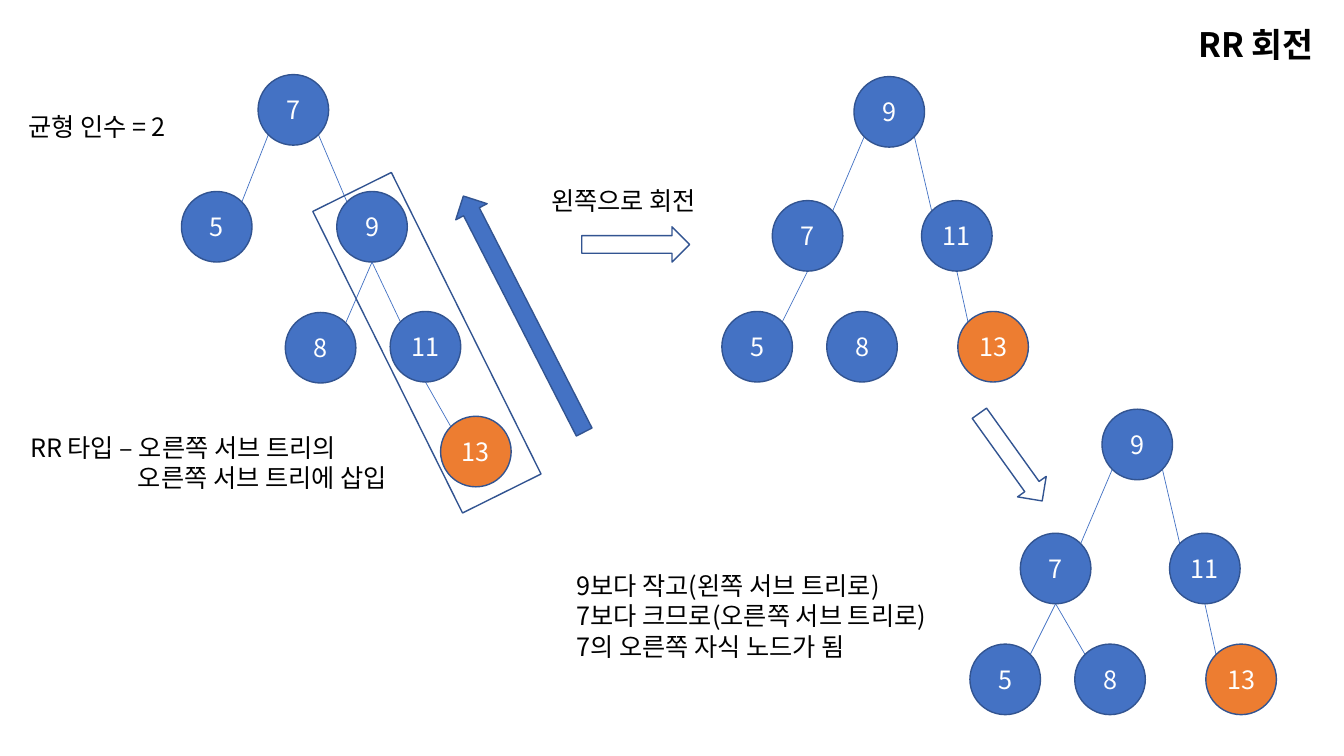
import pptx
import pptx.util
import pptx.dml.color
import pptx.enum.shapes
import pptx.enum.text
import pptx.oxml.ns
from lxml import etree

RGBColor = pptx.dml.color.RGBColor
BLUE = RGBColor(0x44, 0x72, 0xC4)
OUTLINE = RGBColor(0x32, 0x54, 0x91)
ORANGE = RGBColor(0xED, 0x7D, 0x31)
BLACK = RGBColor(0, 0, 0)
WHITE = RGBColor(0xFF, 0xFF, 0xFF)

SHAPES = pptx.enum.shapes.MSO_SHAPE
ALIGN = pptx.enum.text.PP_ALIGN
ANCHOR = pptx.enum.text.MSO_ANCHOR
FONT = "Noto Sans CJK KR"
EMU_PER_PX = 9144
NODE = 70
CORNER = 10
INSERTED = "13"

TITLE = ("RR 회전", (938, 19, 375, 50))
LABELS = [
    ((20, 424, 418, 71), [("RR 타입 – 오른쪽 서브 트리의", 0), ("오른쪽 서브 트리에 삽입", 107)]),
    ((18, 106, 180, 40), [("균형 인수 = 2", 0)]),
    ((537, 179, 181, 40), [("왼쪽으로 회전", 0)]),
    ((562, 561, 404, 101), [
        ("9보다 작고(왼쪽 서브 트리로)", 0),
        ("7보다 크므로(오른쪽 서브 트리로)", 0),
        ("7의 오른쪽 자식 노드가 됨", 0),
    ]),
]

UNBALANCED = {"7": (256, 74), "5": (180, 190), "9": (334, 190),
              "8": (283, 310), "11": (387, 309), "13": (437, 413)}
ROTATED = {"9": (847, 76), "7": (766, 199), "11": (914, 199),
           "5": (716, 309), "8": (820, 309), "13": (950, 309)}
BALANCED = {value: (x + 246, y + 330) for value, (x, y) in ROTATED.items()}
ROTATED_EDGES = [("9", "7"), ("9", "11"), ("7", "5"), ("11", "13")]
TREES = [
    ("7", UNBALANCED, [("7", "5"), ("7", "9"), ("9", "8"), ("9", "11"), ("11", "13")]),
    ("9", ROTATED, ROTATED_EDGES),
    ("9", BALANCED, ROTATED_EDGES + [("7", "8")]),
]

MARKS = [
    (SHAPES.RECTANGLE, (380, 173, 87, 334), 333.6, None),
    (SHAPES.RIGHT_ARROW, (388, 294, 263, 35), 242.9, BLUE),
    (SHAPES.RIGHT_ARROW, (577, 225, 107, 35), 0, None),
    (SHAPES.RIGHT_ARROW, (949, 436, 107, 35), 54.4, None),
]


def emu(*lengths):
    return [length * EMU_PER_PX for length in lengths]


def write(paragraph, text, color, size=18, bold=False, align=ALIGN.LEFT):
    paragraph.alignment = align
    paragraph.line_spacing = pptx.util.Pt(size * 1.2)
    run = paragraph.add_run()
    run.text = text
    run.font.name = FONT
    run.font.size = pptx.util.Pt(size)
    run.font.bold = bold
    run.font.color.rgb = color
    east_asian = etree.SubElement(run.font._element, pptx.oxml.ns.qn("a:ea"))
    east_asian.set("typeface", FONT)


def add_outlined(slide, kind, box, fill):
    shape = slide.shapes.add_shape(kind, *emu(*box))
    shape.shadow.inherit = False
    if fill is None:
        shape.fill.background()
    else:
        shape.fill.solid()
        shape.fill.fore_color.rgb = fill
    shape.line.color.rgb = OUTLINE
    shape.line.width = pptx.util.Pt(1)
    return shape


def add_node(slide, value, x, y):
    fill = ORANGE if value == INSERTED else BLUE
    shape = add_outlined(slide, SHAPES.OVAL, (x, y, NODE, NODE), fill)
    frame = shape.text_frame
    frame.margin_left = frame.margin_right = 0
    frame.margin_top = frame.margin_bottom = 0
    frame.vertical_anchor = ANCHOR.MIDDLE
    write(frame.paragraphs[0], value, WHITE, align=ALIGN.CENTER)


def add_edge(slide, parent, child, from_root):
    goes_left = child[0] < parent[0]
    far, near = NODE - CORNER, CORNER
    if from_root:
        start = (parent[0] + (near if goes_left else far), parent[1] + far)
    else:
        start = (parent[0] + NODE // 2, parent[1] + NODE)
    end = (child[0] + (far if goes_left else near), child[1] + near)
    line = slide.shapes.add_connector(
        pptx.enum.shapes.MSO_CONNECTOR.STRAIGHT, *emu(*start, *end))
    line.line.color.rgb = BLUE
    line.line.width = pptx.util.Pt(0.5)
    etree.SubElement(line._element.spPr, pptx.oxml.ns.qn("a:effectLst"))


def add_label(slide, box, lines):
    frame = slide.shapes.add_textbox(*emu(*box)).text_frame
    frame.word_wrap = True
    for index, (text, indent) in enumerate(lines):
        paragraph = frame.add_paragraph() if index else frame.paragraphs[0]
        if indent:
            paragraph._p.get_or_add_pPr().set("marL", str(indent * EMU_PER_PX))
        write(paragraph, text, BLACK)


def add_title(slide):
    text, box = TITLE
    title = slide.shapes.title
    title.left, title.top, title.width, title.height = emu(*box)
    title.text_frame.vertical_anchor = ANCHOR.TOP
    title.text_frame.auto_size = pptx.enum.text.MSO_AUTO_SIZE.NONE
    write(title.text_frame.paragraphs[0], text, BLACK, 24, True, ALIGN.RIGHT)


def main():
    presentation = pptx.Presentation()
    presentation.slide_width, presentation.slide_height = emu(1333, 750)
    slide = presentation.slides.add_slide(presentation.slide_layouts[5])
    add_title(slide)
    for root, nodes, edges in TREES:
        for parent, child in edges:
            add_edge(slide, nodes[parent], nodes[child], parent == root)
        for value, (x, y) in nodes.items():
            add_node(slide, value, x, y)
    for kind, box, rotation, fill in MARKS:
        add_outlined(slide, kind, box, fill).rotation = rotation
    for box, lines in LABELS:
        add_label(slide, box, lines)
    presentation.save("out.pptx")


if __name__ == "__main__":
    main()
